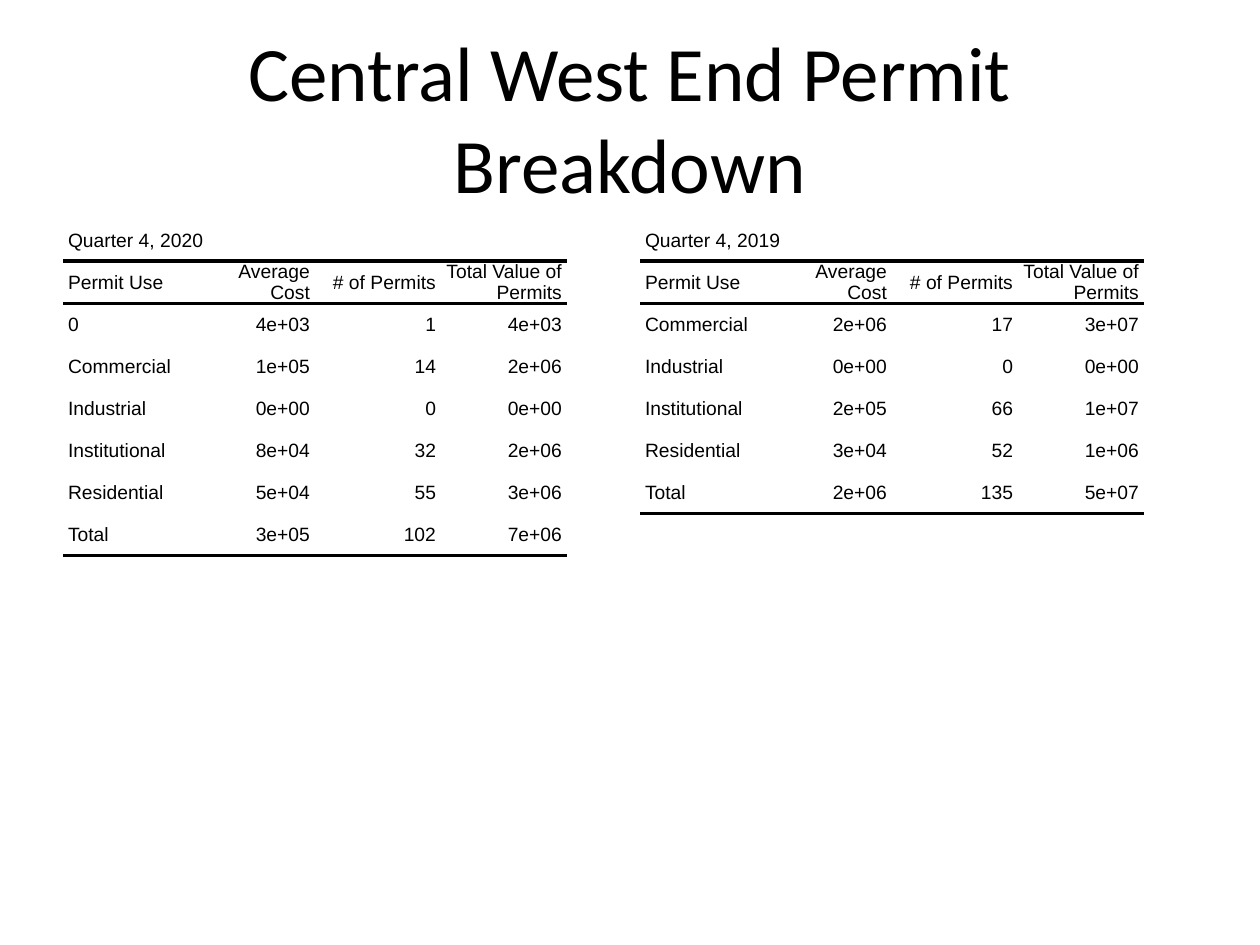
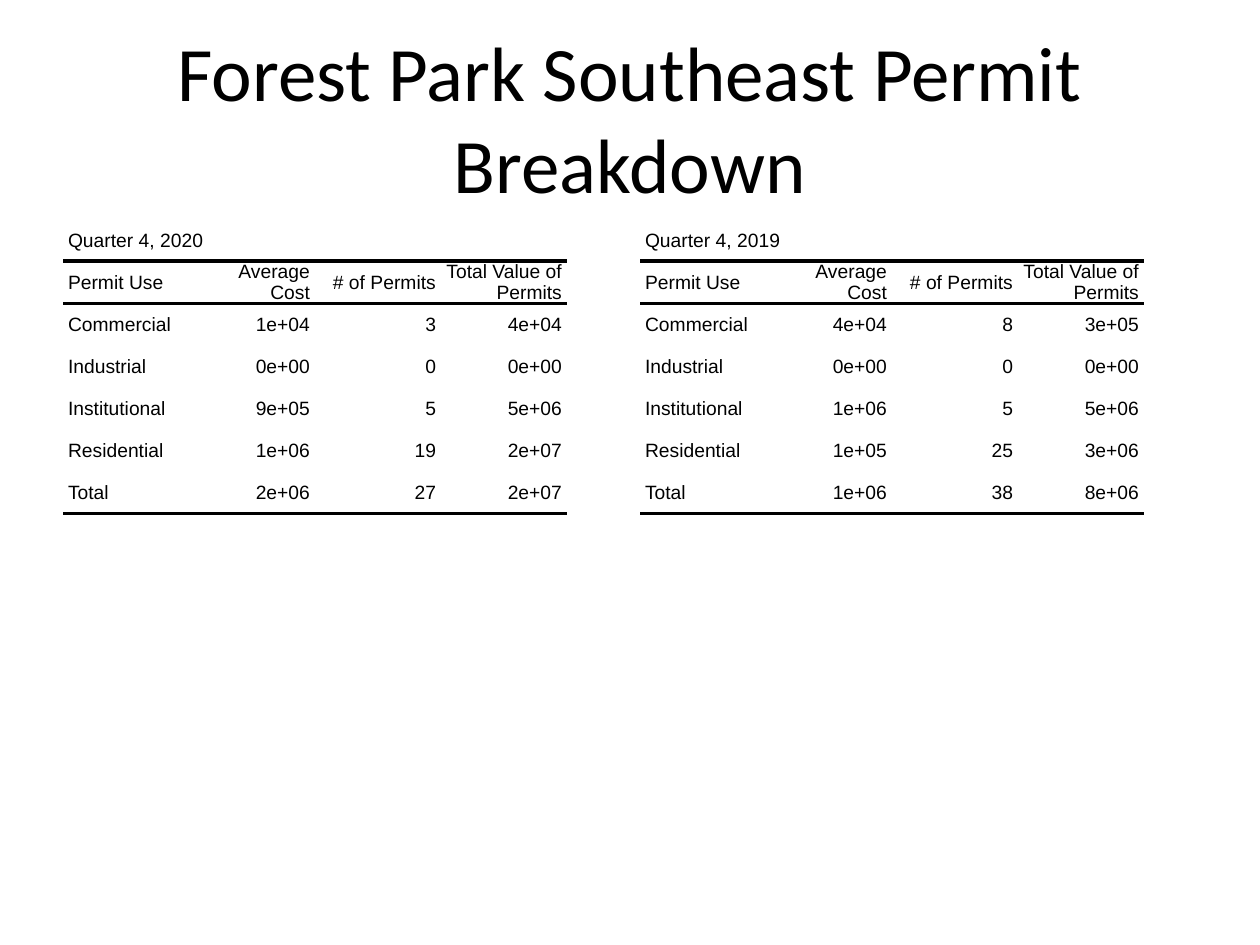
from lxml.etree import SubElement
from pptx import Presentation
from pptx.dml.color import RGBColor
from pptx.enum.text import MSO_ANCHOR, MSO_AUTO_SIZE, PP_ALIGN
from pptx.oxml.ns import qn
from pptx.util import Emu, Pt

COLORS = {"ink": "000000"}
INK = RGBColor.from_string(COLORS["ink"])
TITLE_FONT, TABLE_FONT = "Calibri", "Arial"
HEADERS = ["Permit Use", "Average Cost", "# of Permits", "Total Value of Permits"]
NO_STYLE = "{2D5ABB26-0587-4C30-8999-92F81FD0307C}"
TABLE_LEFTS = [63, 640]
TABLE_TOP, TABLE_WIDTH, TABLE_HEIGHT = 221, 557, 624
COLUMN_WIDTH, CAPTION_HEIGHT, ROW_HEIGHT, INDENT = 126, 40, 42, 5

NEIGHBORHOODS = {
    "Central West End Permit Breakdown": {
        "Quarter 4, 2020": [
            ["0", "4e+03", "1", "4e+03"],
            ["Commercial", "1e+05", "14", "2e+06"],
            ["Industrial", "0e+00", "0", "0e+00"],
            ["Institutional", "8e+04", "32", "2e+06"],
            ["Residential", "5e+04", "55", "3e+06"],
            ["Total", "3e+05", "102", "7e+06"],
        ],
        "Quarter 4, 2019": [
            ["Commercial", "2e+06", "17", "3e+07"],
            ["Industrial", "0e+00", "0", "0e+00"],
            ["Institutional", "2e+05", "66", "1e+07"],
            ["Residential", "3e+04", "52", "1e+06"],
            ["Total", "2e+06", "135", "5e+07"],
        ],
    },
    "Forest Park Southeast Permit Breakdown": {
        "Quarter 4, 2020": [
            ["Commercial", "1e+04", "3", "4e+04"],
            ["Industrial", "0e+00", "0", "0e+00"],
            ["Institutional", "9e+05", "5", "5e+06"],
            ["Residential", "1e+06", "19", "2e+07"],
            ["Total", "2e+06", "27", "2e+07"],
        ],
        "Quarter 4, 2019": [
            ["Commercial", "4e+04", "8", "3e+05"],
            ["Industrial", "0e+00", "0", "0e+00"],
            ["Institutional", "1e+06", "5", "5e+06"],
            ["Residential", "1e+05", "25", "3e+06"],
            ["Total", "1e+06", "38", "8e+06"],
        ],
    },
}


def px(length):
    return Emu(round(length * 914400 / 126))


def add_rule(cell, side):
    line = SubElement(cell._tc.get_or_add_tcPr(), qn(f"a:{side}"), w=str(Pt(2)))
    fill = SubElement(line, qn("a:solidFill"))
    SubElement(fill, qn("a:srgbClr"), val=COLORS["ink"])


presentation = Presentation()
presentation.slide_width, presentation.slide_height = px(1260), px(945)

for title_text, quarters in NEIGHBORHOODS.items():
    slide = presentation.slides.add_slide(presentation.slide_layouts[5])
    title = slide.shapes.title
    title.left, title.top, title.width, title.height = px(63), px(38), px(1134), px(158)
    title.text_frame.text = title_text
    title.text_frame.auto_size = MSO_AUTO_SIZE.NONE
    title.text_frame.vertical_anchor = MSO_ANCHOR.MIDDLE
    paragraph = title.text_frame.paragraphs[0]
    paragraph.alignment = PP_ALIGN.CENTER
    paragraph.font.name, paragraph.font.size = TITLE_FONT, Pt(44)
    paragraph.font.color.rgb = INK

    for left, (quarter, permits) in zip(TABLE_LEFTS, quarters.items()):
        rows = [[quarter, "", "", ""], HEADERS, *permits]
        shape = slide.shapes.add_table(
            len(rows), len(HEADERS), px(left), px(TABLE_TOP), px(TABLE_WIDTH), px(TABLE_HEIGHT)
        )
        table = shape.table
        table.first_row = table.horz_banding = False
        table._tbl.tblPr.find(qn("a:tableStyleId")).text = NO_STYLE
        for column in table.columns:
            column.width = px(COLUMN_WIDTH)

        for row_index, values in enumerate(rows):
            table.rows[row_index].height = px(ROW_HEIGHT if row_index else CAPTION_HEIGHT)
            for column_index, value in enumerate(values):
                cell = table.cell(row_index, column_index)
                cell.text = value
                cell.vertical_anchor = MSO_ANCHOR.MIDDLE
                cell.margin_left = cell.margin_right = 0
                cell.margin_top = cell.margin_bottom = 0
                if row_index == 1:
                    add_rule(cell, "lnT")
                if row_index in (1, len(rows) - 1):
                    add_rule(cell, "lnB")
                cell.fill.background()
                paragraph = cell.text_frame.paragraphs[0]
                properties = paragraph._p.get_or_add_pPr()
                for margin in ("marL", "marR"):
                    properties.set(margin, str(px(INDENT)))
                paragraph.alignment = PP_ALIGN.RIGHT if column_index else PP_ALIGN.LEFT
                paragraph.font.name, paragraph.font.size = TABLE_FONT, Pt(11)
                paragraph.font.color.rgb = INK
        table.cell(0, 0).merge(table.cell(0, len(HEADERS) - 1))
        shape.width, shape.height = px(TABLE_WIDTH), px(TABLE_HEIGHT)

presentation.save("out.pptx")
